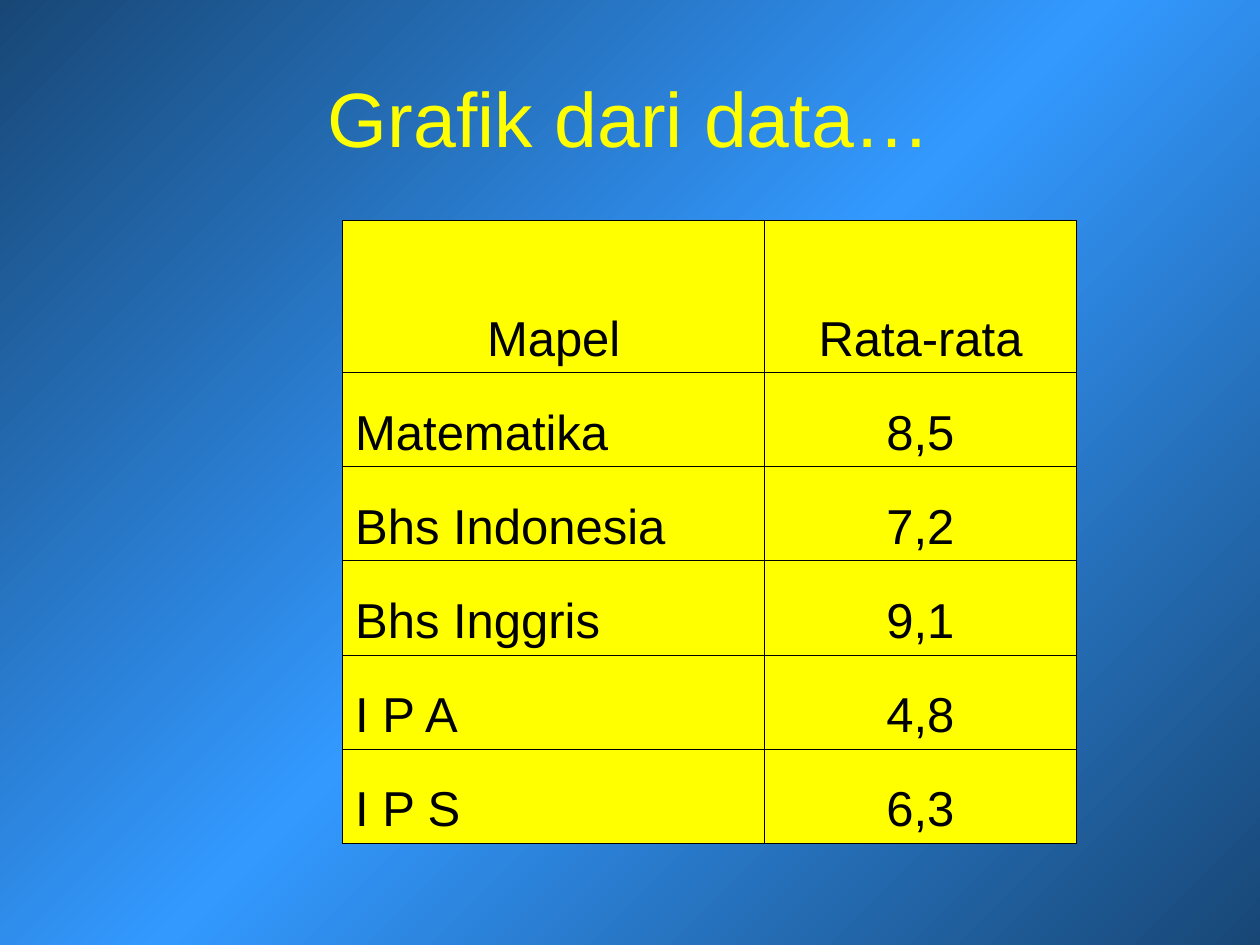
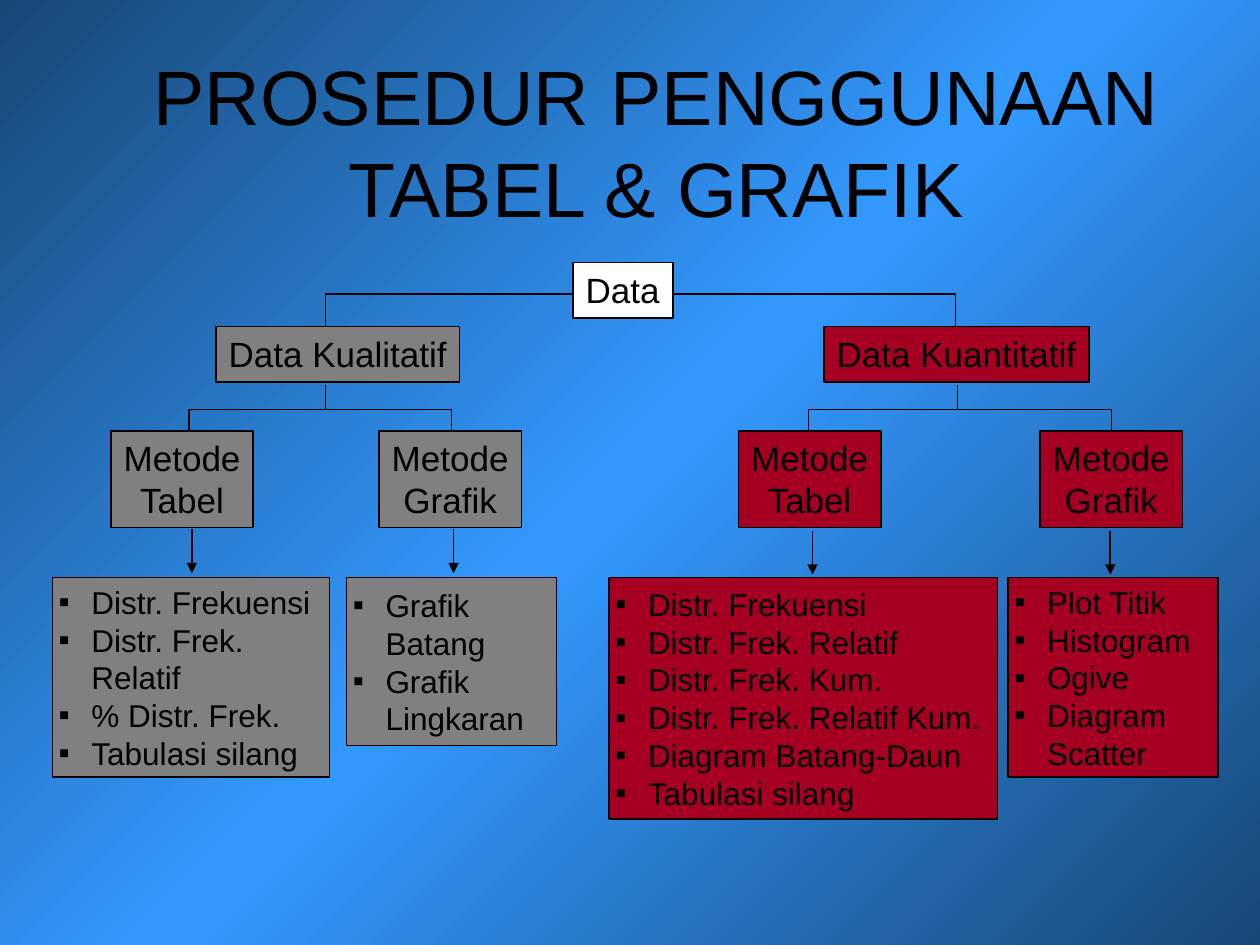
from copy import deepcopy
from dataclasses import dataclass
from lxml import etree
from pptx import Presentation, util as u
from pptx.dml.color import RGBColor
from pptx.enum import shapes, text
from pptx.oxml import ns

Pt = u.Pt
MID = text.MSO_ANCHOR.MIDDLE
TOP = text.MSO_ANCHOR.TOP
LOW = text.MSO_ANCHOR.BOTTOM
LEFT = text.PP_ALIGN.LEFT
CENTER = text.PP_ALIGN.CENTER


# Colours and type sizes
@dataclass(frozen=True)
class Theme:
    font: str = "Arial"
    edge: str = "184776"
    glow: str = "3399FF"
    ink: str = "000000"
    sun: str = "FFFF00"
    paper: str = "FFFFFF"
    gray: str = "808080"
    red: str = "A50021"
    title: int = 44
    cell: int = 28
    node: int = 20
    item: int = 18
    hair: float = 0.45
    thin: float = 0.75
    line: float = 1


def rgb(code):
    return RGBColor.from_string(code)


def put(item, fmt):
    for name, value in fmt.items():
        setattr(item, name, value)


def sub(node, tag, **attrs):
    return etree.SubElement(node, ns.qn(tag), attrs)


class Deck:
    def __init__(self, theme):
        self.theme = theme
        self.prs = Presentation()
        put(self.prs, {"slide_width": Pt(720), "slide_height": Pt(540)})
        self.slide = None
        self.back()

    # Shared diagonal gradient on the master
    def back(self):
        t, master = self.theme, self.prs.slide_master
        fill = master.background.fill
        fill.gradient()
        fill.gradient_angle = 315
        stops = master.element.find(".//" + ns.qn("a:gsLst"))
        stops.append(deepcopy(stops[-1]))
        marks = zip(fill.gradient_stops, (0, 0.5, 1), (t.edge, t.glow, t.edge))
        for stop, pos, code in marks:
            stop.position = pos
            stop.color.rgb = rgb(code)

    def label(self, frame, lines, size, color=None, align=LEFT, bullet=False):
        frame.text = "\n".join(lines)
        for para in frame.paragraphs:
            para.alignment = align
            if bullet:
                self.mark(para)
            for run in para.runs:
                put(run.font, {"name": self.theme.font, "size": Pt(size)})
                run.font.color.rgb = rgb(color or self.theme.ink)

    def mark(self, para):
        props = para._p.get_or_add_pPr()
        step = Pt(18.7)
        props.set("marL", str(step))
        props.set("indent", str(-step))
        sub(sub(props, "a:buClr"), "a:srgbClr", val=self.theme.ink)
        sub(props, "a:buFont", typeface=self.theme.font)
        sub(props, "a:buChar", char="▪")

    def page(self, title, area, color):
        self.slide = self.prs.slides.add_slide(self.prs.slide_layouts[5])
        head = self.slide.shapes.title
        put(head, dict(zip(("left", "top", "width", "height"), map(Pt, area))))
        put(head.text_frame, {"vertical_anchor": MID, "word_wrap": True,
                              "auto_size": text.MSO_AUTO_SIZE.NONE})
        self.label(head.text_frame, [title], self.theme.title, color, CENTER)

    def box(self, area, lines, fill, align=LEFT, bullet=False):
        t = self.theme
        box = self.slide.shapes.add_shape(
            shapes.MSO_SHAPE.RECTANGLE, *map(Pt, area))
        self.trim(box, t.line)
        box.fill.solid()
        box.fill.fore_color.rgb = rgb(fill)
        if bullet:
            fit, side = text.MSO_AUTO_SIZE.NONE, 3.6
        else:
            fit, side = text.MSO_AUTO_SIZE.SHAPE_TO_FIT_TEXT, 7.2
        put(box.text_frame, {
            "word_wrap": bullet, "auto_size": fit,
            "vertical_anchor": MID if bullet else TOP,
            "margin_left": Pt(side), "margin_right": Pt(side),
            "margin_top": Pt(3.6), "margin_bottom": Pt(3.6)})
        self.label(box.text_frame, lines, t.item if bullet else t.node,
                   align=align, bullet=bullet)

    def trim(self, shape, width):
        shape.shadow.inherit = False
        shape.line.color.rgb = rgb(self.theme.ink)
        shape.line.width = Pt(width)

    def fork(self, left, right, top, low):
        pen = self.slide.shapes.build_freeform(Pt(left), Pt(low))
        ends = [(left, top), (right, top), (right, low)]
        pen.add_line_segments([(Pt(x), Pt(y)) for x, y in ends], close=False)
        fork = pen.convert_to_shape()
        fork.fill.background()
        self.trim(fork, self.theme.thin)

    def drop(self, x, top, low, width, arrow=False):
        line = self.slide.shapes.add_connector(
            shapes.MSO_CONNECTOR.STRAIGHT, Pt(x), Pt(top), Pt(x), Pt(low))
        line.line.color.rgb = rgb(self.theme.ink)
        line.line.width = Pt(width)
        if arrow:
            sub(line.get_or_add_ln(), "a:tailEnd", type="triangle")
        sub(line._element.spPr, "a:effectLst")

    def table(self, left, top, cols, rows, data):
        frame = self.slide.shapes.add_table(
            len(rows), len(cols), Pt(left), Pt(top), Pt(sum(cols)), Pt(sum(rows)))
        grid = frame.table
        put(grid, {"first_row": False, "horz_banding": False})
        for col, width in zip(grid.columns, cols):
            col.width = Pt(width)
        for row, height in zip(grid.rows, rows):
            row.height = Pt(height)
        for r, line in enumerate(data):
            for c, word in enumerate(line):
                cell = grid.cell(r, c)
                cell.vertical_anchor = LOW
                self.label(cell.text_frame, [word], self.theme.cell,
                           align=CENTER if r == 0 or c else LEFT)
                self.rim(cell)
                cell.fill.solid()
                cell.fill.fore_color.rgb = rgb(self.theme.sun)

    def rim(self, cell):
        props = cell._tc.get_or_add_tcPr()
        for side in "LRTB":
            edge = sub(props, f"a:ln{side}", w=str(Pt(self.theme.hair)))
            sub(sub(edge, "a:solidFill"), "a:srgbClr", val=self.theme.ink)


# Slide 1: table of averages
def scores(deck):
    deck.page("Grafik dari data…", (36, 21.6, 648, 90), deck.theme.sun)
    data = [("Mapel", "Rata-rata"), ("Matematika", "8,5"),
            ("Bhs Indonesia", "7,2"), ("Bhs Inggris", "9,1"),
            ("I P A", "4,8"), ("I P S", "6,3")]
    deck.table(195.8, 126, (241.2, 178), [87] + [53.75] * 5, data)


# Slide 2: tree of data kinds, methods and forms
def tree(deck):
    t = deck.theme
    deck.page("PROSEDUR PENGGUNAAN TABEL & GRAFIK",
              (72, 23.8, 606.2, 113), t.ink)

    # Root
    deck.fork(186, 546, 168, 186)
    deck.box((327.6, 150, 56.9, 31.7), ["Data"], t.paper)

    # Per branch: name, left, width, fill, stem x, fork ends, arrow top, leaves
    # Per leaf: method, left, arrow x, list left, list width, list height, items
    kinds = [
        ("Data Kualitatif", 123.6, 139, t.gray, 186, (108, 258), 302.4, [
            ("Tabel", 63.4, 109.6, 30, 158.4, 114,
             ["Distr. Frekuensi", "Distr. Frek. Relatif",
              "% Distr. Frek.", "Tabulasi silang"]),
            ("Grafik", 216.6, 259.2, 198, 120, 96,
             ["Grafik Batang", "Grafik Lingkaran"])]),
        ("Data Kuantitatif", 471, 151.4, t.red, 547, (462, 635), 303.2, [
            ("Tabel", 422, 464.3, 348, 222, 138,
             ["Distr. Frekuensi", "Distr. Frek. Relatif", "Distr. Frek. Kum.",
              "Distr. Frek. Relatif Kum.", "Diagram Batang-Daun",
              "Tabulasi silang"]),
            ("Grafik", 594.4, 634.5, 576, 120, 114,
             ["Plot Titik", "Histogram", "Ogive", "Diagram Scatter"])]),
    ]
    for name, left, width, fill, stem, ends, top, leaves in kinds:
        deck.box((left, 186.6, width, 31.7), [name], fill)
        deck.drop(stem, 220.2, 233.5, t.thin)
        deck.fork(*ends, 234, 246)
        for way, x, arrow, list_x, wide, high, items in leaves:
            deck.box((x, 246.1, 81.4, 55.3), ["Metode", way], fill, CENTER)
            deck.drop(arrow, top, top + 25.2, t.line, arrow=True)
            deck.box((list_x, 330, wide, high), items, fill, bullet=True)


def main():
    deck = Deck(Theme())
    scores(deck)
    tree(deck)
    deck.prs.save("out.pptx")


if __name__ == "__main__":
    main()
